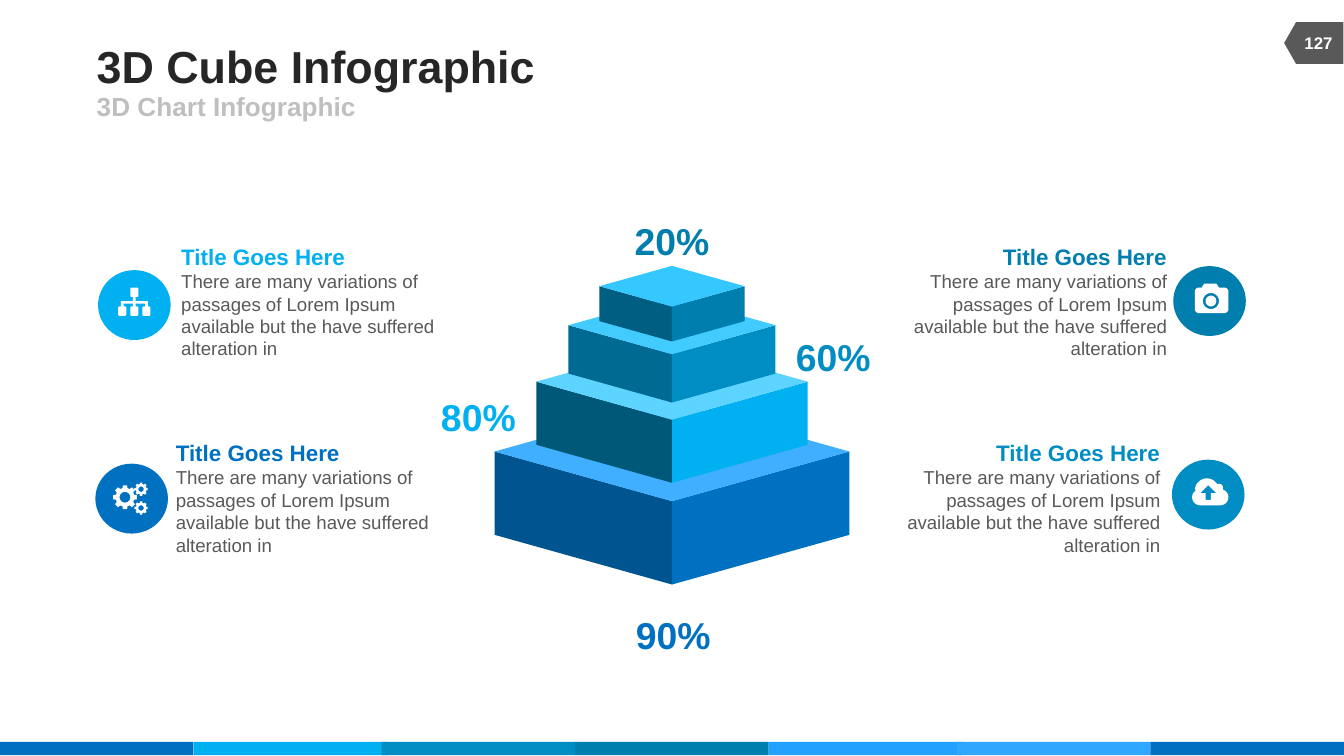
import math

import pptx
import pptx.dml.color
import pptx.enum.shapes
import pptx.enum.text
import pptx.util

Inches = pptx.util.Inches
MSO_SHAPE = pptx.enum.shapes.MSO_SHAPE
PP_ALIGN = pptx.enum.text.PP_ALIGN
MSO_ANCHOR = pptx.enum.text.MSO_ANCHOR

WHITE, GREY = "FFFFFF", "595959"
BLUE, SKY, CERULEAN, TEAL = "0070C0", "00B0F0", "008DC3", "007EAE"
BODY = ("There are many variations of passages of Lorem Ipsum "
        "available but the have suffered alteration in")


def rgb(value):
    return pptx.dml.color.RGBColor.from_string(value)


def paint(sp, color):
    sp.shadow.inherit = False
    sp.fill.solid()
    sp.fill.fore_color.rgb = rgb(color)
    sp.line.fill.background()


def add_preset(shapes, kind, box, color):
    sp = shapes.add_shape(kind, *map(Inches, box))
    paint(sp, color)
    return sp


def add_outline(shapes, contours, color, x=0, y=0):
    """Draw closed contours as one shape, offset by x, y; inner ones become holes."""
    builder = None
    for contour in contours:
        points = [(Inches(x + px), Inches(y + py)) for px, py in contour]
        if builder is None:
            builder = shapes.build_freeform(*points[0])
        else:
            builder.move_to(*points[0])
        builder.add_line_segments(points[1:], close=True)
    paint(builder.convert_to_shape(), color)


def add_text(slide, box, lines, align=PP_ALIGN.LEFT, anchor=MSO_ANCHOR.MIDDLE,
             inset=(0, 0), wrap=True):
    """Each line is a paragraph: text, size, colour, bold."""
    tf = slide.shapes.add_textbox(*map(Inches, box)).text_frame
    tf.word_wrap = wrap
    tf.vertical_anchor = anchor
    tf.margin_left = tf.margin_right = Inches(inset[0])
    tf.margin_top = tf.margin_bottom = Inches(inset[1])
    for i, (text, size, color, bold) in enumerate(lines):
        p = tf.add_paragraph() if i else tf.paragraphs[0]
        p.alignment = align
        r = p.add_run()
        r.text = text
        r.font.name = "Arial"
        r.font.size = pptx.util.Pt(size)
        r.font.bold = bold
        r.font.color.rgb = rgb(color)


def arc(cx, cy, radius, start=0, end=360, steps=24):
    angles = [math.radians(start + (end - start) * i / steps) for i in range(steps + 1)]
    return [(cx + radius * math.cos(a), cy + radius * math.sin(a)) for a in angles]


def rounded(x, y, w, h, radius):
    corners = [(x + w - radius, y + h - radius, 0), (x + radius, y + h - radius, 90),
               (x + radius, y + radius, 180), (x + w - radius, y + radius, 270)]
    return [pt for cx, cy, a in corners for pt in arc(cx, cy, radius, a, a + 90, 6)]


def bar(x, y, w, h):
    return [(x, y), (x + w, y), (x + w, y + h), (x, y + h)]


def gear(cx, cy, radius, hole):
    """Eight teeth around a round hole."""
    rim = []
    for tooth in range(8):
        for turn, factor in ((-15, 0.78), (-10, 1), (10, 1), (15, 0.78)):
            a = math.radians(45 * tooth + turn)
            rim.append((cx + factor * radius * math.cos(a),
                        cy + factor * radius * math.sin(a)))
    return [rim, arc(cx, cy, hole)]


# Icon contours are measured from the centre of their badge.
def gears_icon():
    return (gear(-0.05, -0.01, 0.09, 0.04) + gear(0.07, -0.07, 0.05, 0.02)
            + gear(0.07, 0.07, 0.05, 0.02))


def hierarchy_icon():
    boxes = [rounded(x, y, 0.06, 0.07, 0.01)
             for x, y in ((-0.03, -0.13), (-0.12, 0.01), (-0.03, 0.01), (0.06, 0.01))]
    drops = [bar(x, -0.01, 0.02, 0.02) for x in (-0.1, -0.01, 0.08)]
    return boxes + drops + [bar(-0.01, -0.06, 0.02, 0.03), bar(-0.1, -0.03, 0.2, 0.02)]


def camera_icon():
    hump = [(-0.06, -0.1), (-0.04, -0.13), (0.05, -0.13), (0.07, -0.1)]
    return [rounded(-0.11, -0.1, 0.25, 0.19, 0.03), hump,
            arc(0.01, 0, 0.06), arc(0.01, 0, 0.04)]


def cloud_icon():
    cloud = (arc(-0.06, 0.02, 0.06, 90, 240) + arc(-0.01, -0.03, 0.09, 185, 325)
             + arc(0.08, -0.05, 0.03, 240, 380) + arc(0.09, 0.02, 0.06, 290, 450))
    arrow = [(0, -0.07), (0.06, -0.01), (0.02, -0.01), (0.02, 0.04),
             (-0.02, 0.04), (-0.02, -0.01), (-0.06, -0.01)]
    return [cloud, arrow]


def add_header(slide, x, y):
    add_text(slide, (x, y, 6.17, 0.39), [("3D Cube Infographic", 24, "262626", True)])
    add_text(slide, (x, y + 0.39, 4.5, 0.22), [("3D Chart Infographic", 14, "BFBFBF", True)])


def add_page_marker(slide, x, y):
    sp = add_preset(slide.shapes, MSO_SHAPE.FLOWCHART_OFFPAGE_CONNECTOR,
                    (x + 0.06, y - 0.06, 0.31, 0.44), GREY)
    sp.rotation = 90
    add_text(slide, (x + 0.04, y + 0.01, 0.42, 0.3), [("127", 9, WHITE, True)],
             align=PP_ALIGN.CENTER, wrap=False)


def add_footer(slide, y):
    bands = [(0, BLUE), (1.44, SKY), (2.84, CERULEAN), (4.28, TEAL),
             (5.72, "23A1FF"), (7.12, "2FA6FF"), (8.56, BLUE)]
    for x, color in bands:
        add_preset(slide.shapes, MSO_SHAPE.RECTANGLE, (x, y, 1.44, 0.1), color)


def add_pyramid(slide, cx, top):
    # half width, shoulder below the top, block height, left, right and top colours
    tiers = [(1.32, 1.39, 0.62, "005490", BLUE, "40AFFF"),
             (1.01, 0.87, 0.47, "005878", SKY, "5DD4FF"),
             (0.77, 0.45, 0.36, "006A92", CERULEAN, "42CBFF"),
             (0.54, 0.16, 0.26, "005E82", TEAL, "35C7FF")]
    for half, shoulder, height, left, right, lid in tiers:
        shapes = slide.shapes.add_group_shape().shapes
        rise = 0.28 * half
        for side, color in ((-half, left), (half, right)):
            face = [(0, rise), (side, 0), (side, height), (0, height + rise)]
            add_outline(shapes, [face], color, cx, top + shoulder)
        diamond = [(0, rise), (-half, 0), (0, -rise), (half, 0)]
        add_outline(shapes, [diamond], lid, cx, top + shoulder)


def add_percent(slide, x, y, value, color):
    add_text(slide, (x, y, 0.56, 0.34), [(value, 20, color, True)],
             align=PP_ALIGN.CENTER, anchor=MSO_ANCHOR.BOTTOM, wrap=False)


def add_badge(slide, x, y, icon, color):
    shapes = slide.shapes.add_group_shape().shapes
    add_preset(shapes, MSO_SHAPE.OVAL, (x, y, 0.54, 0.52), color)
    add_outline(shapes, icon, WHITE, x + 0.27, y + 0.26)


def add_caption(slide, x, y, w, color, align):
    add_text(slide, (x, y, w, 0.98),
             [("Title Goes Here", 12, color, True), (BODY, 10, GREY, False)],
             align=align, anchor=MSO_ANCHOR.TOP, inset=(0.1, 0.05))


def main():
    prs = pptx.Presentation()
    prs.slide_width = Inches(10)
    prs.slide_height = prs.slide_width * 9 // 16
    slide = prs.slides.add_slide(prs.slide_layouts[6])

    add_footer(slide, 5.52)
    add_page_marker(slide, 9.56, 0.16)
    add_header(slide, 0.72, 0.29)
    add_pyramid(slide, 5, 1.97)
    for x, y, value, color in ((4.72, 1.62, "20%", TEAL), (5.92, 2.48, "60%", CERULEAN),
                               (3.28, 2.93, "80%", SKY), (4.73, 4.55, "90%", BLUE)):
        add_percent(slide, x, y, value, color)

    left, right = PP_ALIGN.LEFT, PP_ALIGN.RIGHT
    items = [((1.25, 1.76, 2.36), left, (0.73, 2.01), hierarchy_icon(), SKY),
             ((1.21, 3.22, 2.36), left, (0.71, 3.45), gears_icon(), BLUE),
             ((6.64, 1.76, 2.14), right, (8.73, 1.98), camera_icon(), TEAL),
             ((6.59, 3.22, 2.14), right, (8.72, 3.42), cloud_icon(), CERULEAN)]
    for caption, align, badge, icon, color in items:
        add_caption(slide, *caption, color, align)
        add_badge(slide, *badge, icon, color)

    prs.save("out.pptx")


if __name__ == "__main__":
    main()
